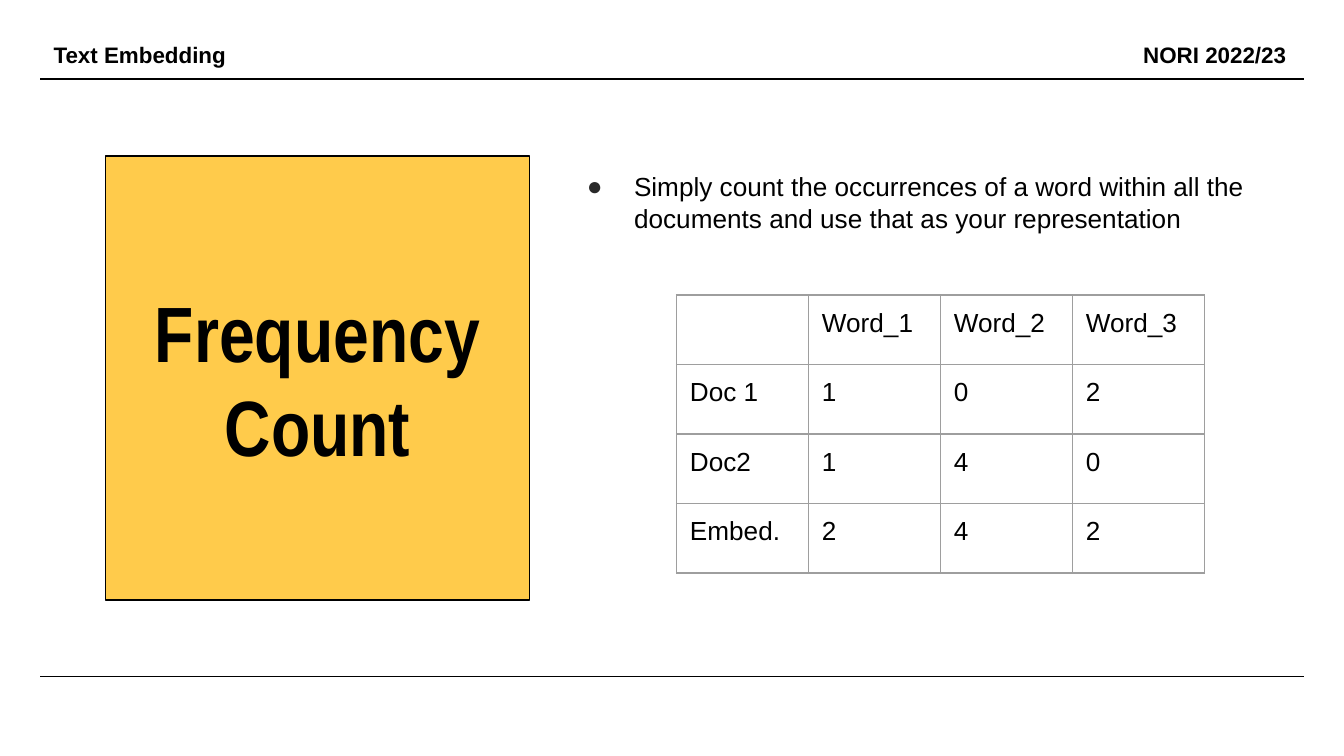
from lxml.etree import SubElement
from pptx import Presentation
from pptx.dml.color import RGBColor
from pptx.enum.shapes import MSO_CONNECTOR
from pptx.enum.text import MSO_ANCHOR, MSO_AUTO_SIZE, PP_ALIGN
from pptx.oxml.ns import qn
from pptx.util import Pt

COLORS = {"ink": "000000", "panel": "FFCB4B", "bullet": "292929", "grid": "9E9E9E"}
INSET = Pt(7.2)


def color(name):
    return RGBColor.from_string(COLORS[name])


def write(frame, text, size, bold=False, align=PP_ALIGN.LEFT, font="Arial"):
    """Fill a text frame or cell text frame and return its paragraph."""
    frame.text = text
    frame.word_wrap = True
    frame.margin_left = frame.margin_right = INSET
    frame.margin_top = frame.margin_bottom = INSET
    paragraph = frame.paragraphs[0]
    paragraph.alignment = align
    paragraph.font.name = font
    paragraph.font.size = Pt(size)
    paragraph.font.bold = bold
    paragraph.font.color.rgb = color("ink")
    return paragraph


prs = Presentation()
prs.slide_width, prs.slide_height = Pt(720), Pt(405)
slide = prs.slides.add_slide(prs.slide_layouts[5])
shapes = slide.shapes

# Header and footer rules
for y in (42.3, 362.6):
    rule = shapes.add_connector(MSO_CONNECTOR.STRAIGHT, Pt(21.6), Pt(y), Pt(698.4), Pt(y))
    rule.line.color.rgb = color("ink")
    rule.line.width = Pt(0.75)
    SubElement(rule._element.spPr, qn("a:effectLst"))

# Title panel
title = shapes.title
title.left, title.top, title.width, title.height = Pt(56.4), Pt(83.6), Pt(227.4), Pt(237.8)
title.fill.solid()
title.fill.fore_color.rgb = color("panel")
title.line.color.rgb = color("ink")
title.line.width = Pt(0.75)
write(title.text_frame, "Frequency Count", 42, True, PP_ALIGN.CENTER, "Arial Narrow")
title.text_frame.auto_size = MSO_AUTO_SIZE.NONE
title.text_frame.vertical_anchor = MSO_ANCHOR.MIDDLE

# Running header
for text, left, width, align in (
    ("NORI 2022/23", 490.3, 205.9, PP_ALIGN.RIGHT),
    ("Text Embedding", 21.6, 301, PP_ALIGN.LEFT),
):
    header = shapes.add_textbox(Pt(left), Pt(16.8), Pt(width), Pt(25.2)).text_frame
    write(header, text, 12, True, align)
    header.vertical_anchor = MSO_ANCHOR.MIDDLE

# Explanation
explanation = shapes.add_textbox(Pt(296.6), Pt(84.2), Pt(388.8), Pt(99.4)).text_frame
point = write(
    explanation,
    "Simply count the occurrences of a word within all the documents "
    "and use that as your representation",
    14,
)
bullet = point._p.get_or_add_pPr()
bullet.set("marL", str(Pt(36)))
bullet.set("indent", str(-Pt(25.2)))
bullet_color = SubElement(bullet, qn("a:buClr"))
SubElement(bullet_color, qn("a:srgbClr"), val=COLORS["bullet"])
SubElement(bullet, qn("a:buFont"), typeface="Arial")
SubElement(bullet, qn("a:buChar"), char="●")
# Default run properties must follow the bullet in the schema order
bullet.append(bullet.find(qn("a:defRPr")))

# Word counts
counts = [
    ["", "Word_1", "Word_2", "Word_3"],
    ["Doc 1", "1", "0", "2"],
    ["Doc2", "1", "4", "0"],
    ["Embed.", "2", "4", "2"],
]
COLUMN, ROW = 70.7, 37.25
table = shapes.add_table(
    4, 4, Pt(362.4), Pt(158), Pt(4 * COLUMN), Pt(4 * ROW)
).table
table.first_row = table.horz_banding = False
for column in table.columns:
    column.width = Pt(COLUMN)
for row, values in zip(table.rows, counts):
    row.height = Pt(ROW)
    for cell, value in zip(row.cells, values):
        write(cell.text_frame, value, 14)
        cell.margin_left = cell.margin_right = INSET
        cell.margin_top = cell.margin_bottom = INSET
        borders = cell._tc.get_or_add_tcPr()
        for side in ("lnL", "lnR", "lnT", "lnB"):
            border = SubElement(borders, qn(f"a:{side}"), w=str(Pt(0.75)))
            border_fill = SubElement(border, qn("a:solidFill"))
            SubElement(border_fill, qn("a:srgbClr"), val=COLORS["grid"])
        cell.fill.background()

prs.save("out.pptx")
